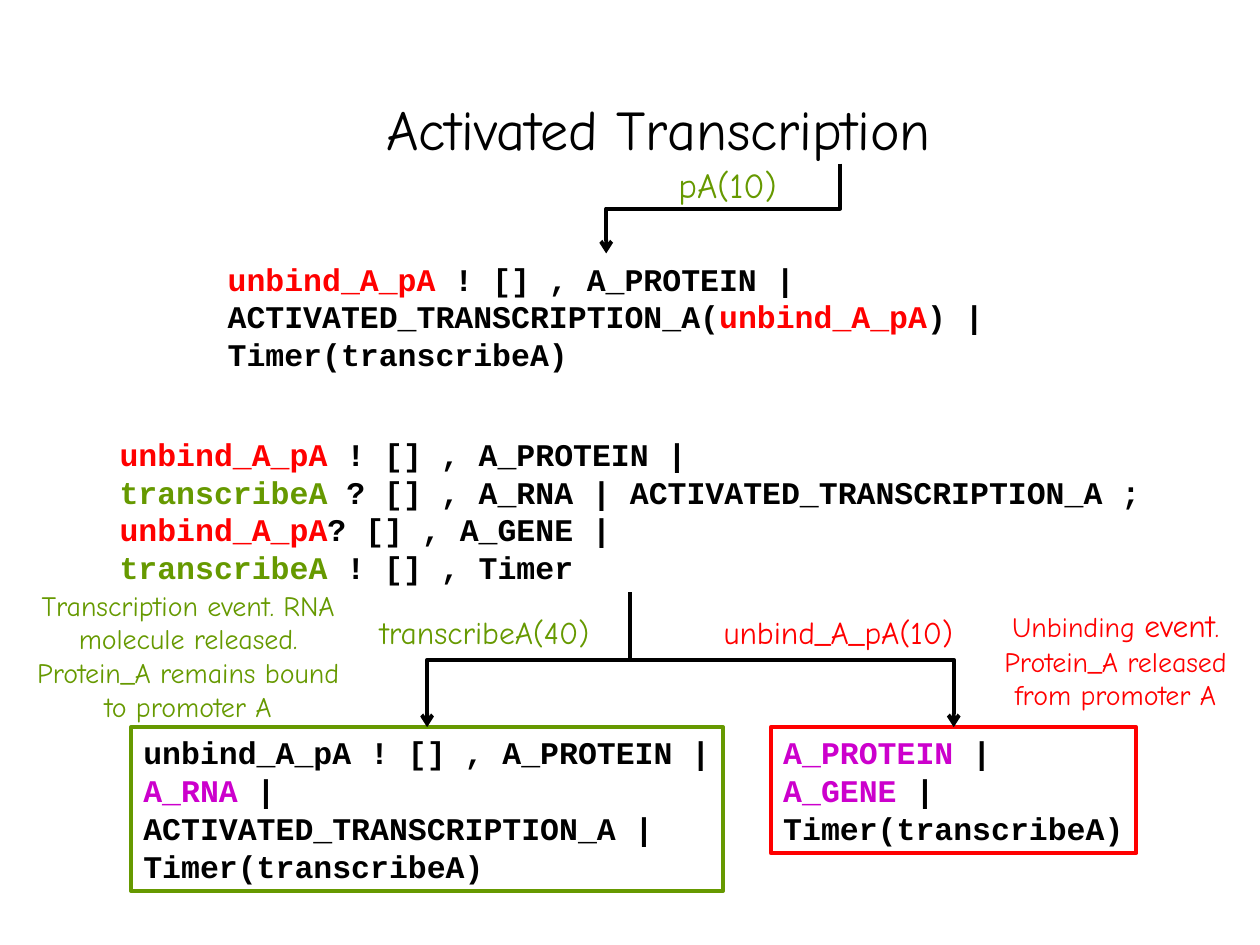
from dataclasses import dataclass

from lxml.etree import SubElement
from pptx import Presentation
from pptx.dml.color import RGBColor
from pptx.enum.shapes import MSO_CONNECTOR as CONN, MSO_SHAPE as SHAPE
from pptx.enum.text import MSO_ANCHOR as ANCHOR, MSO_AUTO_SIZE as AUTO, PP_ALIGN as ALIGN
from pptx.oxml.ns import qn
from pptx.util import Cm, Pt


@dataclass(frozen=True)
class Theme:
    black: str = "000000"
    white: str = "FFFFFF"
    red: str = "FF0000"
    green: str = "669900"
    purple: str = "CC00CC"
    prose: str = "Comic Neue"
    mono: str = "Courier New"
    title: int = 32
    rate: int = 20
    body: int = 18
    note: int = 16
    line: float = 2.25


T = Theme()


class Diagram:
    def __init__(self, slide, theme):
        self.s, self.t = slide, theme

    def set_text(self, sp, lines, size, font, bold=False, align=ALIGN.LEFT,
                 anchor=ANCHOR.TOP, wrap=False, auto=AUTO.NONE):
        """Fill one paragraph; each line is a list of (text, colour[, size]) runs."""
        tf = sp.text_frame
        frame_format = {"auto_size": auto, "word_wrap": wrap, "vertical_anchor": anchor}
        for name, value in frame_format.items():
            setattr(tf, name, value)
        p = tf.paragraphs[0]
        p.alignment = align
        for i, line in enumerate(lines):
            if i:
                p.add_line_break()
            for text, colour, *own_size in line:
                r = p.add_run()
                r.text = text
                run_format = {"name": font, "bold": bold, "size": Pt(own_size[0] if own_size else size)}
                for name, value in run_format.items():
                    setattr(r.font, name, value)
                r.font.color.rgb = RGBColor.from_string(colour)

    def rect(self, box, fill=None, line=None):
        sp = self.s.shapes.add_shape(SHAPE.RECTANGLE, *map(Cm, box))
        sp.shadow.inherit = False
        for part, colour in ((sp.fill, fill), (sp.line.fill, line)):
            if colour:
                part.solid()
                part.fore_color.rgb = RGBColor.from_string(colour)
            else:
                part.background()
        if line:
            sp.line.width = Pt(self.t.line)
        return sp

    def prose(self, box, runs, size):
        sp = self.s.shapes.add_textbox(*map(Cm, box))
        self.set_text(sp, [runs], size, self.t.prose, align=ALIGN.CENTER,
                      anchor=ANCHOR.MIDDLE, wrap=True)

    def label(self, left, top, text, colour, size):
        sp = self.rect((left, top, 2.82, 1.02), fill=self.t.white)
        self.set_text(sp, [[(text, colour)]], size, self.t.prose,
                      align=ALIGN.CENTER, anchor=ANCHOR.MIDDLE)

    def code(self, box, lines, outline=None):
        if outline:
            sp = self.rect(box, line=outline)
        else:
            sp = self.s.shapes.add_textbox(*map(Cm, box))
        self.set_text(sp, lines, self.t.body, self.t.mono, bold=True, auto=AUTO.SHAPE_TO_FIT_TEXT)

    def arrow_down(self, x1, y1, x2, y2):
        """Elbow arrow that leaves and arrives vertically: a turned horizontal elbow."""
        cx, cy = (x1 + x2) / 2, (y1 + y2) / 2
        half_w, half_h = (y2 - y1) / 2, abs(x2 - x1) / 2
        c = self.s.shapes.add_connector(CONN.ELBOW, *map(
            Cm, (cx - half_w, cy - half_h, cx + half_w, cy + half_h)))
        c.line.width = Pt(self.t.line)
        c.line.color.rgb = RGBColor.from_string(self.t.black)
        spPr = c._element.spPr
        turn = {"rot": "16200000", "flipH": "1"} if x2 > x1 else {"rot": "5400000"}
        for name, value in turn.items():
            spPr.find(qn("a:xfrm")).set(name, value)
        SubElement(spPr.find(qn("a:ln")), qn("a:tailEnd"), type="arrow")
        SubElement(spPr, qn("a:effectLst"))


def main():
    prs = Presentation()
    prs.slide_width, prs.slide_height = Cm(25.4), Cm(19.05)
    d = Diagram(prs.slides.add_slide(prs.slide_layouts[6]), T)

    unbind, transcribe = ("unbind_A_pA", T.red), ("transcribeA", T.green)
    send_protein = [unbind, (" ! [] , A_PROTEIN |", T.black)]
    timer = [("Timer(transcribeA)", T.black)]

    d.prose((1.9, 1.7, 22.76, 1.75), [("Activated Transcription", T.black)], T.title)
    d.label(13.26, 3.2, "pA(10)", T.green, T.rate)
    d.code((4.34, 5.11, 15.75, 2.54), [
        send_protein,
        [("ACTIVATED_TRANSCRIPTION_A(", T.black), unbind, (") |", T.black)],
        timer,
    ])
    d.arrow_down(16.94, 3.3, 12.22, 5.11)
    d.code((2.16, 8.64, 21.08, 3.3), [
        send_protein,
        [transcribe, (" ? [] , A_RNA | ACTIVATED_TRANSCRIPTION_A ;", T.black)],
        [unbind, ("? [] , A_GENE |", T.black)],
        [transcribe, (" ! [] , Timer", T.black)],
    ])

    outcomes = [
        ((2.64, 14.66, 11.94, 3.3), T.green, [
            [("unbind_A_pA ! [] , A_PROTEIN |", T.black)],
            [("A_RNA ", T.purple), ("| ", T.black)],
            [("ACTIVATED_TRANSCRIPTION_A |", T.black)],
            timer,
        ]),
        ((15.54, 14.66, 7.37, 2.54), T.red, [
            [("A_PROTEIN", T.purple), (" |", T.black)],
            [("A_GENE ", T.purple), ("| ", T.black)],
            timer,
        ]),
    ]
    for box, colour, lines in outcomes:
        d.code(box, lines, outline=colour)
    for (left, top, width, _), *_ in outcomes:
        d.arrow_down(12.7, 11.94, left + width / 2, top)

    d.label(8.36, 12.22, "transcribeA(40)", T.green, T.body)
    d.label(15.49, 12.22, "unbind_A_pA(10)", T.red, T.body)
    d.prose((0.38, 12.07, 6.83, 2.29), [
        ("Transcription event. RNA molecule released. "
         "Protein_A remains bound to promoter A", T.green)], T.note)
    d.prose((19.58, 12.14, 5.82, 2.29), [
        ("Unbinding ", T.red), ("event", T.red, T.body),
        (". Protein_A released from promoter A", T.red)], T.note)

    prs.save("out.pptx")


if __name__ == "__main__":
    main()
